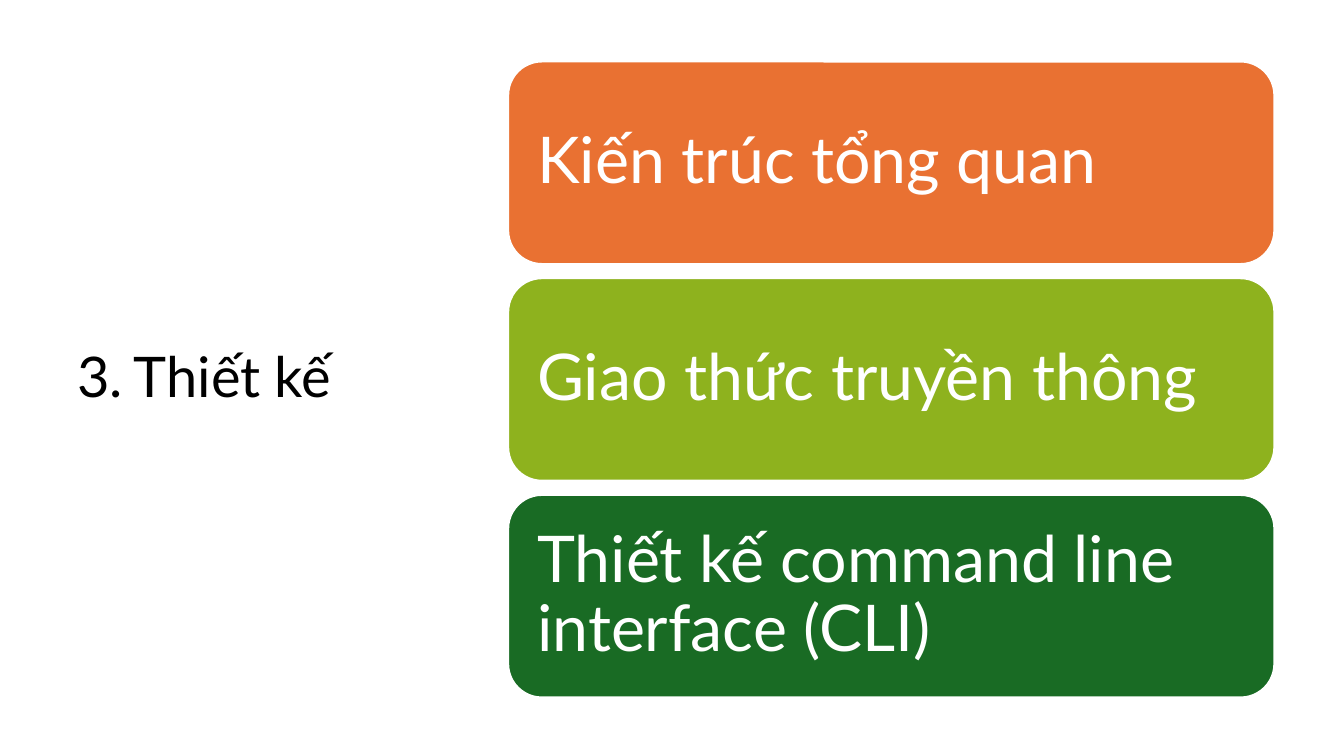
from lxml import etree
from pptx import Presentation
from pptx.dml.color import RGBColor
from pptx.enum import shapes, text
from pptx.oxml.ns import qn
from pptx.util import Pt

PX = 9144  # EMU per px, 100 px to the inch
FONT = "Lato"
COLORS = {
    "black": "000000",
    "white": "FFFFFF",
    "orange": "E97132",
    "lime": "8EB21E",
    "green": "196B24",
}
TOPICS = [
    ("Kiến trúc tổng quan", "orange"),
    ("Giao thức truyền thông", "lime"),
    ("Thiết kế command line interface (CLI)", "green"),
]


def px(length):
    return round(length * PX)


def rgb(name):
    return RGBColor.from_string(COLORS[name])


def write(shape, words, size, color, inset):
    """Put one left-aligned, vertically centred paragraph into a shape."""
    frame = shape.text_frame
    frame.word_wrap = True
    frame.vertical_anchor = text.MSO_ANCHOR.MIDDLE
    frame.margin_left = frame.margin_right = px(inset)
    frame.margin_top = frame.margin_bottom = px(inset)
    paragraph = frame.paragraphs[0]
    paragraph.text = words
    paragraph.alignment = text.PP_ALIGN.LEFT
    paragraph.line_spacing = 0.9
    paragraph.font.name = FONT
    paragraph.font.size = Pt(size)
    paragraph.font.color.rgb = rgb(color)
    return paragraph


def add_heading(slide, left, top, width, height):
    """Section heading, numbered from 3."""
    heading = slide.shapes.add_textbox(px(left), px(top), px(width), px(height))
    paragraph = write(heading, "Thiết kế", 40, "black", 10)
    properties = paragraph._p.get_or_add_pPr()
    properties.set("marL", str(px(56)))
    properties.set("indent", str(px(-56)))
    number = etree.Element(qn("a:buAutoNum"), type="arabicPeriod", startAt="3")
    properties.find(qn("a:defRPr")).addprevious(number)


def add_topics(slide, left, top, width, height, gap=14):
    """Stack of equal rounded cards, one for each topic."""
    card_height = (height - gap * (len(TOPICS) - 1)) / len(TOPICS)
    for row, (topic, color) in enumerate(TOPICS):
        card = slide.shapes.add_shape(
            shapes.MSO_SHAPE.ROUNDED_RECTANGLE,
            px(left), px(top + row * (card_height + gap)),
            px(width), px(card_height))
        card.shadow.inherit = False
        card.fill.solid()
        card.fill.fore_color.rgb = rgb(color)
        card.line.color.rgb = rgb("white")
        card.line.width = Pt(1.5)
        write(card, topic, 46, "white", 19)


def main():
    deck = Presentation()
    deck.slide_width, deck.slide_height = px(1333), px(750)
    slide = deck.slides.add_slide(deck.slide_layouts[6])
    add_heading(slide, 67, 60, 382, 633)
    add_topics(slide, 504, 61, 760, 631)
    deck.save("out.pptx")


if __name__ == "__main__":
    main()
